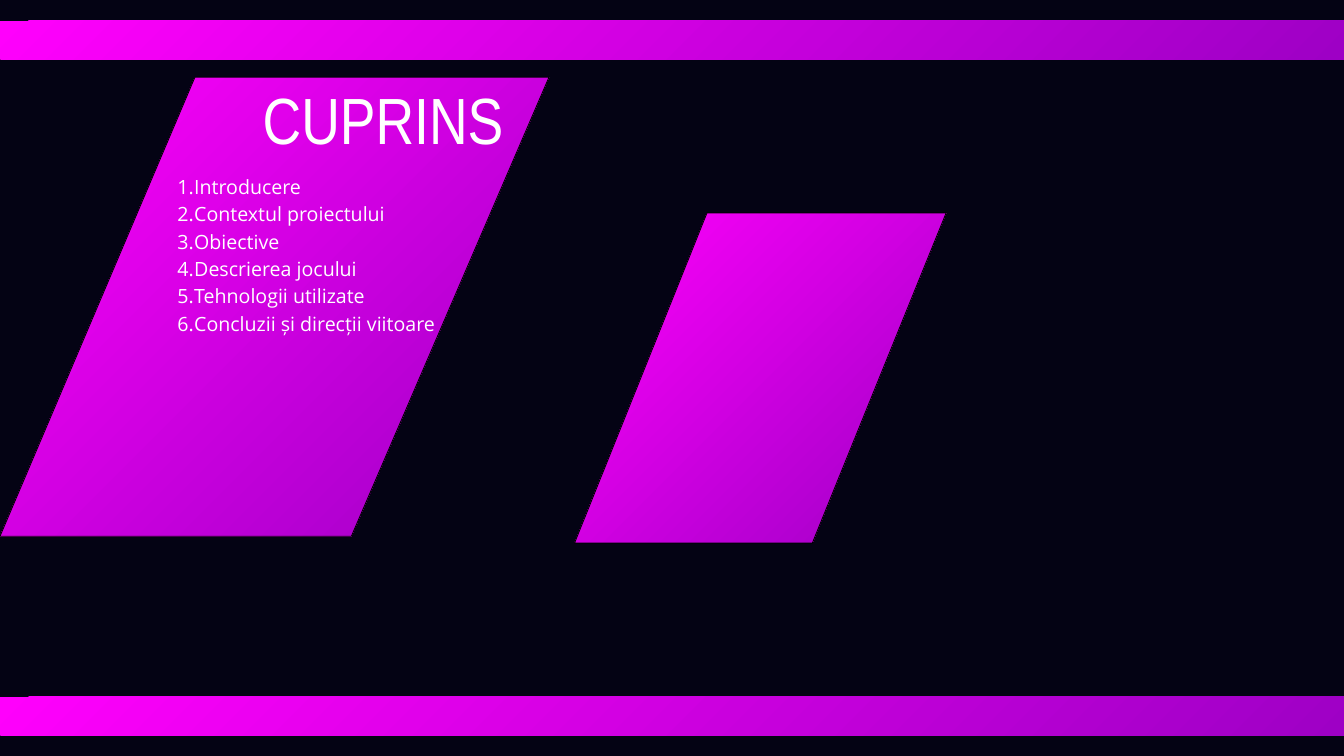
from dataclasses import dataclass

from lxml import etree
from pptx import Presentation
from pptx.dml.color import RGBColor as RGB
from pptx.enum.shapes import MSO_SHAPE as SHAPE
from pptx.enum.text import MSO_ANCHOR as ANCHOR, MSO_AUTO_SIZE as AUTO, PP_ALIGN as ALIGN
from pptx.oxml.ns import qn
from pptx.util import Inches, Pt


@dataclass(frozen=True)
class Theme:
    back: RGB = RGB(0x04, 0x03, 0x14)
    start: RGB = RGB(0xFF, 0x00, 0xFC)
    end: RGB = RGB(0x9E, 0x00, 0xC5)
    edge: RGB = RGB(0x00, 0x00, 0x00)
    text: RGB = RGB(0xFF, 0xFF, 0xFF)
    title_font: str = "Arial Narrow"
    body_font: str = "Open Sans"
    title_size: float = 70
    body_size: float = 21
    leading: float = 1.4


class Deck:
    def __init__(self, prs, theme):
        self.theme = theme
        self.s = prs.slides.add_slide(prs.slide_layouts[5])
        fill = self.s.background.fill
        fill.solid()
        fill.fore_color.rgb = theme.back

    def paint(self, sp):
        sp.shadow.inherit = False
        sp.fill.gradient()
        sp.fill.gradient_angle = 315
        colors = (self.theme.start, self.theme.end)
        for i, (stop, color) in enumerate(zip(sp.fill.gradient_stops, colors)):
            stop.position = i
            stop.color.rgb = color

    def panel(self, points):
        pts = [(Inches(x), Inches(y)) for x, y in points]
        builder = self.s.shapes.build_freeform(*pts[0])
        builder.add_line_segments(pts[1:], close=True)
        sp = builder.convert_to_shape()
        self.paint(sp)
        sp.line.color.rgb = self.theme.edge
        sp.line.width = Pt(1)

    def bar(self, top):
        sp = self.s.shapes.add_shape(
            SHAPE.RECTANGLE, 0, Inches(top), Inches(20), Inches(0.57))
        self.paint(sp)
        sp.line.fill.background()

    def frame(self, sp, box):
        sp.left, sp.top, sp.width, sp.height = map(Inches, box)
        tf = sp.text_frame
        tf.margin_left = tf.margin_top = tf.margin_right = tf.margin_bottom = 0
        tf.vertical_anchor = ANCHOR.TOP
        tf.word_wrap = True
        tf.auto_size = AUTO.NONE
        return tf

    def add_text(self, p, text, font, size):
        p.alignment = ALIGN.LEFT
        p.line_spacing = Pt(size * self.theme.leading)
        r = p.add_run()
        r.text = text
        r.font.name = font
        r.font.size = Pt(size)
        r.font.color.rgb = self.theme.text

    def title(self, text, box):
        sp = self.s.shapes.title
        self.s.shapes._spTree.append(sp._element)
        tf = self.frame(sp, box)
        self.add_text(tf.paragraphs[0], text, self.theme.title_font, self.theme.title_size)

    def numbered(self, items, box):
        tf = self.frame(self.s.shapes.add_textbox(*map(Inches, box)), box)
        for i, item in enumerate(items):
            p = tf.add_paragraph() if i else tf.paragraphs[0]
            self.add_text(p, item, self.theme.body_font, self.theme.body_size)
            pPr = p._p.get_or_add_pPr()
            pPr.set("marL", str(Inches(0.5)))
            pPr.set("indent", str(Inches(-0.25)))
            etree.SubElement(pPr, qn("a:buAutoNum"), type="arabicPeriod")


def main():
    prs = Presentation()
    prs.slide_width, prs.slide_height = Inches(20), Inches(11.25)
    deck = Deck(prs, Theme())
    deck.panel([(8.17, 1.15), (5.23, 7.98), (0, 7.98), (2.9, 1.15)])
    deck.panel([(14.08, 3.17), (12.09, 8.08), (8.55, 8.08), (10.52, 3.17)])
    deck.title("CUPRINS", (3.91, 0.99, 4.26, 1.32))
    deck.numbered([
        "Introducere",
        "Contextul proiectului",
        "Obiective",
        "Descrierea jocului",
        "Tehnologii utilizate",
        "Concluzii și direcții viitoare",
    ], (2.39, 2.54, 10.01, 3.6))
    for top in (10.37, 0.31):
        deck.bar(top)
    prs.save("out.pptx")


if __name__ == "__main__":
    main()
